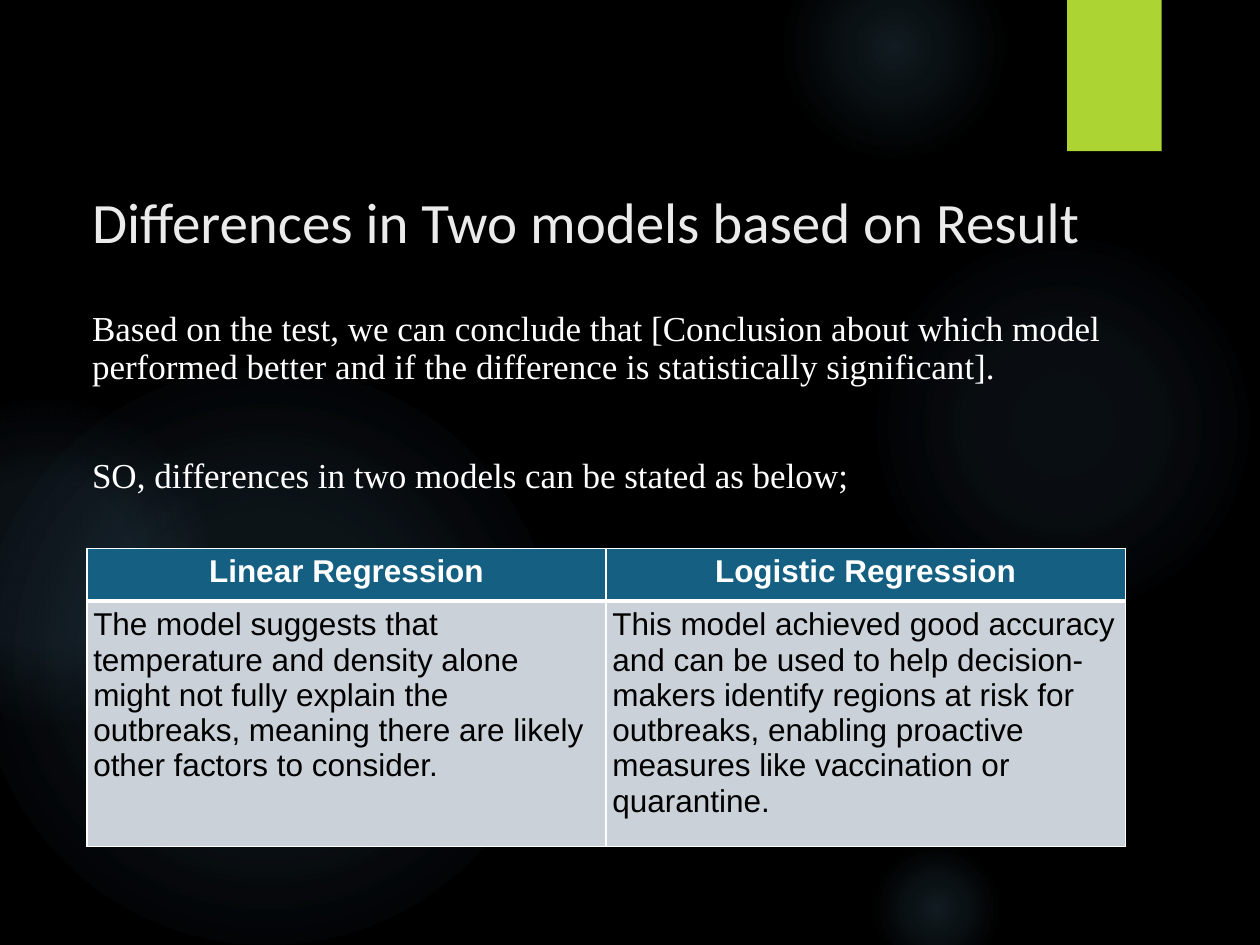
from pptx import Presentation
from pptx.dml.color import RGBColor
from pptx.enum.shapes import MSO_SHAPE
from pptx.enum.text import MSO_ANCHOR, MSO_AUTO_SIZE, PP_ALIGN
from pptx.oxml import parse_xml
from pptx.oxml.ns import nsdecls, qn
from pptx.util import Inches, Pt

COLORS = {
    "background": "000000",
    "glow": "7AC4F0",
    "accent": "ACD433",
    "title": "EBEBEB",
    "light": "FFFFFF",
    "dark": "000000",
    "header": "156082",
    "cell": "CAD1D8",
}


def rgb(name):
    return RGBColor.from_string(COLORS[name])


def drawing_xml(tag, content, attributes=""):
    return parse_xml(f'<a:{tag} {nsdecls("a")} {attributes}>{content}</a:{tag}>')


def solid_xml(name, alpha=100):
    return f'<a:srgbClr val="{COLORS[name]}"><a:alpha val="{alpha * 1000}"/></a:srgbClr>'


def write_paragraph(paragraph, text, font="Arial", size=18, color="light", bold=False,
                    align=PP_ALIGN.LEFT, spacing=1.0, before=0):
    paragraph.text = text
    paragraph.alignment = align
    paragraph.line_spacing = spacing
    paragraph.space_before = Pt(before)
    paragraph.font.name = font
    paragraph.font.size = Pt(size)
    paragraph.font.bold = bold
    paragraph.font.color.rgb = rgb(color)


class SlideBuilder:
    def __init__(self, presentation):
        self.width = presentation.slide_width
        self.height = presentation.slide_height
        self.slide = presentation.slides.add_slide(presentation.slide_layouts[1])
        background = self.slide.background.fill
        background.solid()
        background.fore_color.rgb = rgb("background")

    def across(self, percent):
        return round(self.width * percent / 100)

    def down(self, percent):
        return round(self.height * percent / 100)

    def box(self, left, top, width, height):
        return self.across(left), self.down(top), self.across(width), self.down(height)

    def glow(self, left, top, diameter, stops):
        side = self.across(diameter)
        circle = self.slide.shapes.add_shape(
            MSO_SHAPE.OVAL, self.across(left), self.down(top), side, side)
        circle.shadow.inherit = False
        circle.line.fill.background()
        circle.fill.background()
        stops_xml = "".join(f'<a:gs pos="{position * 1000}">{solid_xml("glow", alpha)}</a:gs>'
                            for position, alpha in stops)
        center = '<a:fillToRect l="50000" t="50000" r="50000" b="50000"/>'
        gradient = drawing_xml(
            "gradFill", f'<a:gsLst>{stops_xml}</a:gsLst><a:path path="circle">{center}</a:path>')
        properties = circle.element.spPr
        properties.replace(properties.find(qn("a:noFill")), gradient)

    def ribbon(self, *area):
        block = self.slide.shapes.add_shape(MSO_SHAPE.RECTANGLE, *self.box(*area))
        block.fill.solid()
        block.fill.fore_color.rgb = rgb("accent")
        block.line.fill.background()
        block.shadow.inherit = False
        shadow = drawing_xml("outerShdw", solid_xml("dark", 45),
                             f'blurRad="{Pt(3)}" dist="{Pt(2)}" dir="5400000"')
        block.element.spPr.find(qn("a:effectLst")).append(shadow)

    def placeholder(self, index, area, anchor, paragraphs, **style):
        holder = self.slide.placeholders[index]
        holder.left, holder.top, holder.width, holder.height = self.box(*area)
        holder.element.getparent().append(holder.element)
        frame = holder.text_frame
        frame.word_wrap = True
        frame.auto_size = MSO_AUTO_SIZE.NONE
        frame.vertical_anchor = anchor
        frame.margin_left = frame.margin_right = Inches(0.04)
        frame.margin_top = frame.margin_bottom = Inches(0.04)
        for number, (text, before) in enumerate(paragraphs):
            paragraph = frame.add_paragraph() if number else frame.paragraphs[0]
            properties = paragraph._p.get_or_add_pPr()
            properties.set("marL", "0")
            properties.set("indent", "0")
            properties.append(drawing_xml("buNone", ""))
            write_paragraph(paragraph, text, before=before, **style)

    def table(self, area, row_heights, rows):
        table = self.slide.shapes.add_table(len(rows), len(rows[0]), *self.box(*area)).table
        for number, (height, texts) in enumerate(zip(row_heights, rows)):
            table.rows[number].height = self.down(height)
            is_header = number == 0
            for column, text in enumerate(texts):
                cell = table.cell(number, column)
                cell.margin_left = cell.margin_right = Inches(0.05)
                cell.margin_top = cell.margin_bottom = Inches(0.05)
                cell.fill.solid()
                cell.fill.fore_color.rgb = rgb("header" if is_header else "cell")
                write_paragraph(cell.text_frame.paragraphs[0], text, bold=is_header,
                                color="light" if is_header else "dark",
                                align=PP_ALIGN.CENTER if is_header else PP_ALIGN.LEFT)
                self.borders(cell, "B" if is_header else "T")

    def borders(self, cell, thick_side):
        properties = cell._tc.get_or_add_tcPr()
        for order, side in enumerate("LRTB"):
            width = Pt(2 if side == thick_side else 0.75)
            line = drawing_xml(f"ln{side}", f'<a:solidFill>{solid_xml("light")}</a:solidFill>',
                               f'w="{width}"')
            properties.insert(order, line)


def main():
    presentation = Presentation()
    presentation.slide_width = Inches(10)
    presentation.slide_height = Inches(7.5)
    builder = SlideBuilder(presentation)

    glows = [
        (68.9, 24.4, 30.8, [(0, 7), (36, 6), (69, 0)]),
        (62.2, -6.67, 17.5, [(0, 14), (36, 7), (73, 0)]),
        (68.9, 88.93, 10.8, [(0, 14), (36, 7), (66, 0)]),
        (-1.7, 38.93, 45.8, [(0, 11), (36, 10), (75, 0)]),
        (-9.2, 42.27, 25.8, [(0, 8), (36, 8), (72, 0)]),
    ]
    for glow in glows:
        builder.glow(*glow)
    builder.ribbon(84.7, 0, 7.5, 16)

    builder.placeholder(
        0, (6.9, 16.53, 86.2, 14.53), MSO_ANCHOR.MIDDLE,
        [("Differences in Two models based on Result", 0)],
        font="Calibri", size=32.6, color="title", spacing=0.9)
    builder.placeholder(
        1, (6.9, 32.4, 86.2, 47.6), MSO_ANCHOR.TOP,
        [("Based on the test, we can conclude that [Conclusion about which model performed "
          "better and if the difference is statistically significant].", 0),
         ("SO, differences in two models can be stated as below;", 41)],
        font="Times New Roman", size=20, spacing=0.9)

    row_heights = (5.6, 26)
    builder.table((6.9, 58, 82.4, sum(row_heights)), row_heights, [
        ("Linear Regression", "Logistic Regression"),
        ("The model suggests that temperature and density alone might not fully explain the "
         "outbreaks, meaning there are likely other factors to consider.",
         "This model achieved good accuracy and can be used to help decision-makers identify "
         "regions at risk for outbreaks, enabling proactive measures like vaccination or "
         "quarantine."),
    ])
    presentation.save("out.pptx")


if __name__ == "__main__":
    main()
